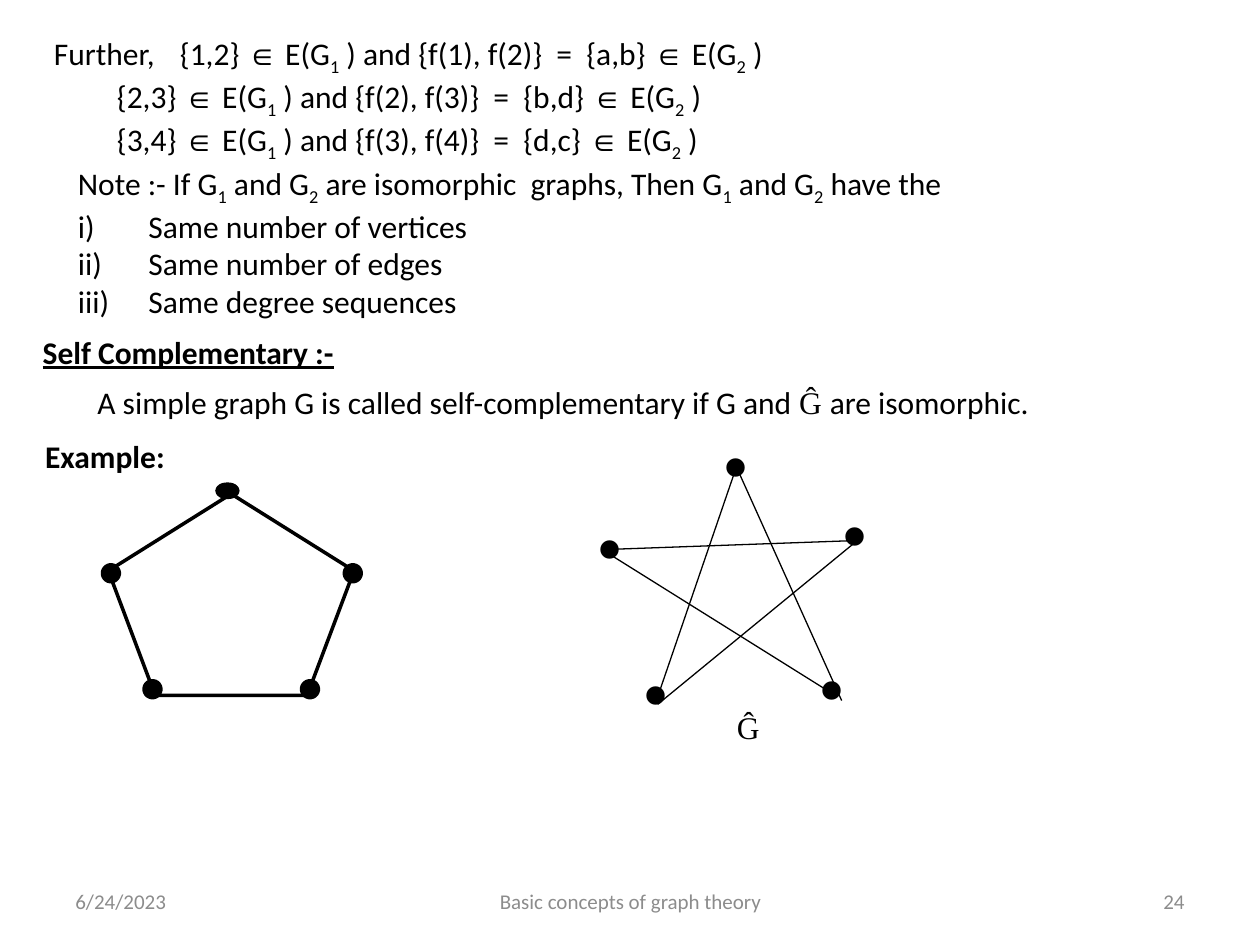
from dataclasses import dataclass

from lxml.etree import SubElement
from pptx import Presentation
from pptx.dml.color import RGBColor
from pptx.enum.shapes import MSO_CONNECTOR as Connector, MSO_SHAPE as Preset
from pptx.enum.text import MSO_ANCHOR as Anchor, MSO_AUTO_SIZE as AutoSize, PP_ALIGN as Align
from pptx.oxml.ns import qn
from pptx.slide import Slide
from pptx.util import Inches, Pt


def color(value):
    """Turn a hex string into a colour."""
    return RGBColor.from_string(value)


def apply(target, values):
    """Set every attribute named in a dict of format values."""
    for name, value in values.items():
        setattr(target, name, value)


@dataclass
class GraphSlide:
    """Style and current slide, measured on a grid of 100 columns by 75 rows."""
    slide: Slide
    cell: float = 0.1
    font: str = "Calibri"
    symbol_font: str = "Times New Roman"
    ink: str = "000000"
    paper: str = "FFFFFF"

    def grid(self, *lengths):
        """Convert grid lengths to slide lengths."""
        return [Inches(length * self.cell) for length in lengths]

    def add_runs(self, paragraph, text, ink, values):
        """Add pieces split at bars, where _ lowers a piece and symbols change font."""
        for piece in text.split("|"):
            run = paragraph.add_run()
            run.text = piece.removeprefix("_")
            name = self.symbol_font if piece.strip() in ("∈", "Ĝ", "•") else self.font
            apply(run.font, {"name": name, "size": Pt(18), **values})
            run.font.color.rgb = color(ink)
            if piece.startswith("_"):
                run._r.get_or_add_rPr().set("baseline", "-25000")

    def number(self, paragraph):
        """Give a paragraph a roman number and a hanging indent."""
        properties = paragraph._p.get_or_add_pPr()
        indent = Inches(0.56)
        properties.set("marL", str(indent))
        properties.set("indent", str(-indent))
        SubElement(properties, qn("a:buFont")).set("typeface", "+mj-lt")
        SubElement(properties, qn("a:buAutoNum")).set("type", "romanLcParenR")

    def text(self, box, lines, numbered=(), align=Align.LEFT, ink=None,
             frame=None, fill=None, rotation=0, **values):
        """Add a text box with one paragraph for each line."""
        shape = self.slide.shapes.add_textbox(*self.grid(*box))
        shape.rotation = rotation
        if fill:
            shape.fill.solid()
            shape.fill.fore_color.rgb = color(fill)
        text_frame = shape.text_frame
        apply(text_frame, {"word_wrap": True, "auto_size": AutoSize.SHAPE_TO_FIT_TEXT, **(frame or {})})
        for index, line in enumerate([*lines, *numbered]):
            paragraph = text_frame.add_paragraph() if index else text_frame.paragraphs[0]
            if index >= len(lines):
                self.number(paragraph)
            paragraph.alignment = align
            self.add_runs(paragraph, line, ink or self.ink, values)

    def footer(self, box, text, align):
        """Add a small grey footer text."""
        self.text(box, [text], align=align, ink="8C8C8C", size=Pt(12),
                  frame={"vertical_anchor": Anchor.MIDDLE, "auto_size": AutoSize.NONE})

    def shape(self, preset, box, width, fill=None):
        """Add an outlined preset shape."""
        shape = self.slide.shapes.add_shape(preset, *self.grid(*box))
        shape.shadow.inherit = False
        if fill:
            shape.fill.solid()
            shape.fill.fore_color.rgb = color(fill)
        else:
            shape.fill.background()
        shape.line.color.rgb = color(self.ink)
        shape.line.width = Pt(width)

    def edge(self, start, end):
        """Add a thin straight edge."""
        line = self.slide.shapes.add_connector(Connector.STRAIGHT, *self.grid(*start, *end))
        line.line.color.rgb = color(self.ink)
        line.line.width = Pt(0.75)
        SubElement(line._element.spPr, qn("a:effectLst"))

    def dot(self, box, fill=None):
        """Add a vertex drawn as a large bullet character."""
        self.text(box, ["•"], size=Pt(44), rotation=180, fill=fill)


def draw_text(page):
    """Add the footers, the mappings, the note and the definition."""
    page.footer((5, 69.5, 23.3, 4), "6/24/2023", Align.LEFT)
    page.footer((71.7, 69.5, 23.3, 4), "24", Align.RIGHT)
    page.footer((34.2, 69.5, 31.7, 4), "Basic concepts of graph theory", Align.CENTER)
    page.text((5.2, 12.5, 74.2, 13.1),
              ["Note :- If G|_1| and G|_2| are isomorphic  graphs, Then G|_1| and G|_2| have the"],
              numbered=[f"Same {feature}" for feature in
                        ("number of vertices", "number of edges", "degree sequences")])
    mappings = [("Further,", 1, 2, "a,b"), ("", 2, 3, "b,d"), ("", 3, 4, "d,c")]
    page.text((3.3, 2.2, 68.3, 10.1),
              [f"{lead}\t{{{u},{v}}} |∈| E(G|_1| ) and {{f({u}), f({v})}}  =  {{{image}}} |∈| E(G|_2| )"
               for lead, u, v, image in mappings])
    page.text((6.75, 29.9, 85, 4),
              ["A simple graph G is called self-complementary if G and |Ĝ |are isomorphic."])
    page.text((2.4, 25.9, 25.9, 4), ["Self Complementary :-"],
              frame={"word_wrap": False}, bold=True, underline=True)
    page.text((2.6, 34.2, 11.6, 4), ["Example:"],
              frame={"word_wrap": False}, bold=True)


def draw_pentagon(page):
    """Draw the cycle on five vertices."""
    page.shape(Preset.FLOWCHART_CONNECTOR, (17.5, 38.7, 1.1, 0.5), 6, page.paper)
    for left, top in [(8.4, 45.1), (27.6, 45.1), (11.7, 54.3), (24.2, 54.3)]:
        page.shape(Preset.FLOWCHART_CONNECTOR, (left, top, 0.8, 0.8), 6, page.paper)
    page.shape(Preset.REGULAR_PENTAGON, (8.6, 39.2, 19.5, 16), 2)


def draw_star(page):
    """Draw the complement as a five-pointed star."""
    page.edge((52.2, 55.3), (58.4, 37.2))
    for left, top, width in [(50.8, 51.4, 3.3), (64.8, 51, 3.3), (57.2, 33.3, 3.3), (65.8, 38.8, 4.1)]:
        page.dot((left, top, width, 8.4))
    page.dot((46.4, 39.8, 4.1, 8.4), page.paper)
    for start, end in [((52.2, 55.9), (67.8, 43.1)), ((66.3, 55.2), (48.4, 44)),
                       ((68, 42.9), (48.5, 43.6)), ((66.8, 55.6), (58.6, 37.4))]:
        page.edge(start, end)
    page.text((57.5, 55.7, 3.6, 4), ["Ĝ"], frame={"word_wrap": False})


def main():
    """Build and save the slide."""
    presentation = Presentation()
    apply(presentation, {"slide_width": Inches(10), "slide_height": Inches(7.5)})
    page = GraphSlide(presentation.slides.add_slide(presentation.slide_layouts[6]))
    draw_text(page)
    draw_pentagon(page)
    draw_star(page)
    presentation.save("out.pptx")


if __name__ == "__main__":
    main()
